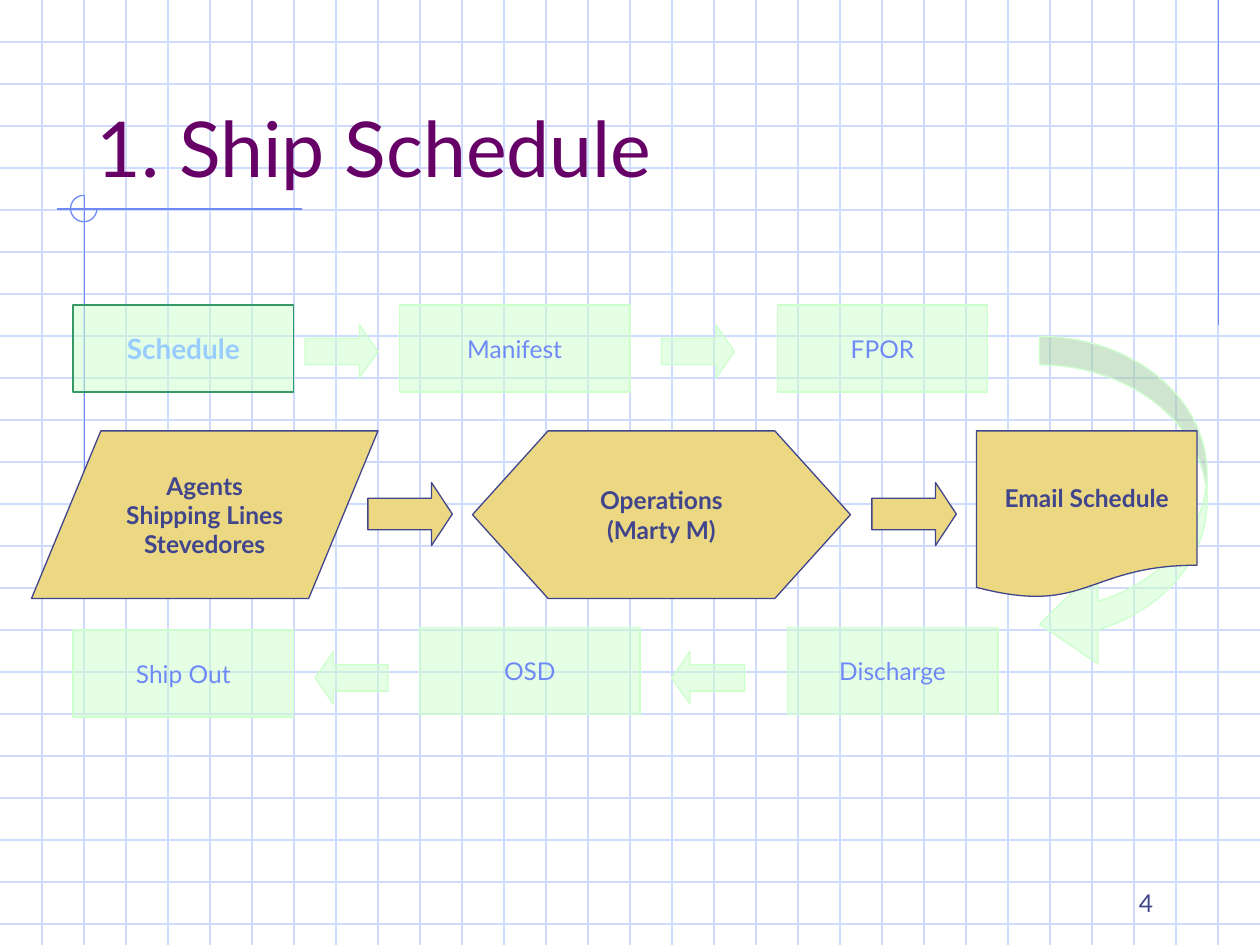
"""Build the ship schedule process slide."""
from dataclasses import dataclass

from lxml import etree
from pptx import Presentation
from pptx import util as u
from pptx.dml.color import RGBColor
from pptx.enum import shapes, text
from pptx.oxml.ns import qn

MS = shapes.MSO_SHAPE
ANCHOR = text.MSO_ANCHOR
ALIGN = text.PP_ALIGN


@dataclass(frozen=True)
class Theme:
    font: str = "Lato"
    grid: str = "CFDBFD"
    accent: str = "6F89F7"
    title: str = "660066"
    ink: str = "40458C"
    gold: str = "ECD882"
    mint: str = "CCFFCC"
    current_edge: str = "339966"
    current_text: str = "99CCFF"
    line_pt: float = 0.75
    title_pt: int = 44
    current_pt: int = 16
    body_pt: int = 14


T = Theme()


@dataclass(frozen=True)
class Style:
    fill: str
    edge: str
    ink: str
    size: int = T.body_pt
    bold: bool = False
    alpha: int = 100


FADED = Style(T.mint, T.mint, T.accent, alpha=50)
CURRENT = Style(T.mint, T.current_edge, T.current_text, T.current_pt, True, 50)
DETAIL = Style(T.gold, T.ink, T.ink, bold=True)


@dataclass(frozen=True)
class Node:
    kind: MS
    left: float
    top: float
    width: float
    height: float
    style: Style
    label: str = ""
    adj: tuple[float, ...] = ()
    wrap: bool = False


def step(left: float, top: float, width: float, label: str, style: Style = FADED) -> Node:
    return Node(MS.FLOWCHART_PROCESS, left, top, width, 0.69, style, label)


def faded_arrow(kind: MS, left: float, top: float) -> Node:
    return Node(kind, left, top, 0.58, 0.42, FADED, adj=(0.5, 0.35))


def detail_arrow(left: float) -> Node:
    return Node(MS.RIGHT_ARROW, left, 3.83, 0.67, 0.5, DETAIL, adj=(0.5, 0.33))


def detail(kind: MS, left: float, width: float, label: str, wrap: bool = False) -> Node:
    return Node(kind, left, 3.42, width, 1.33, DETAIL, label, wrap=wrap)


NODES = (
    step(0.58, 2.42, 1.75, "Schedule", CURRENT),
    step(3.17, 2.42, 1.83, "Manifest"),
    step(6.17, 2.42, 1.67, "FPOR"),
    step(6.25, 4.98, 1.67, "Discharge"),
    step(3.33, 4.98, 1.75, "OSD"),
    step(0.58, 5, 1.75, "Ship Out"),
    faded_arrow(MS.RIGHT_ARROW, 2.42, 2.58),
    faded_arrow(MS.RIGHT_ARROW, 5.25, 2.58),
    Node(MS.CURVED_LEFT_ARROW, 8.25, 2.67, 1.33, 2.67, FADED, adj=(0.17, 0.58, 0.35)),
    faded_arrow(MS.LEFT_ARROW, 5.33, 5.17),
    faded_arrow(MS.LEFT_ARROW, 2.5, 5.17),
    detail(MS.FLOWCHART_DATA, 0.25, 2.75, "Agents\nShipping Lines\nStevedores", True),
    detail(MS.FLOWCHART_DOCUMENT, 7.75, 1.75, "Email Schedule"),
    detail(MS.FLOWCHART_PREPARATION, 3.75, 3, "Operations\n(Marty M)"),
    detail_arrow(2.92),
    detail_arrow(6.92),
)


def box(left: float, top: float, width: float, height: float) -> list[u.Length]:
    return [u.Inches(v) for v in (left, top, width, height)]


def set_line(line, color: str) -> None:
    line.color.rgb = RGBColor.from_string(color)
    line.width = u.Pt(T.line_pt)


def add_line(s, x1: float, y1: float, x2: float, y2: float, color: str) -> None:
    c = s.shapes.add_connector(shapes.MSO_CONNECTOR.STRAIGHT, *box(x1, y1, x2, y2))
    set_line(c.line, color)
    etree.SubElement(c._element.spPr, qn("a:effectLst"))


def write(tf, label: str, size: int, color: str, align: ALIGN, anchor: ANCHOR,
          bold: bool = False, wrap: bool = True) -> None:
    tf.text = label
    tf.word_wrap = wrap
    tf.vertical_anchor = anchor
    for p in tf.paragraphs:
        p.alignment = align
        for r in p.runs:
            r.font.name = T.font
            r.font.size = u.Pt(size)
            r.font.bold = bold
            r.font.color.rgb = RGBColor.from_string(color)


def add_node(s, node: Node) -> None:
    sp = s.shapes.add_shape(node.kind, *box(node.left, node.top, node.width, node.height))
    sp.shadow.inherit = False
    for i, value in enumerate(node.adj):
        sp.adjustments[i] = value
    style = node.style
    sp.fill.solid()
    sp.fill.fore_color.rgb = RGBColor.from_string(style.fill)
    if style.alpha < 100:
        color = sp._element.spPr.find(qn("a:solidFill"))[0]
        etree.SubElement(color, qn("a:alpha"), val=str(style.alpha * 1000))
    set_line(sp.line, style.edge)
    if node.label:
        write(sp.text_frame, node.label, style.size, style.ink, ALIGN.CENTER,
              ANCHOR.MIDDLE, style.bold, node.wrap)


def add_background(s) -> None:
    for i in range(1, 23):
        add_line(s, 0, i / 3, 10, i / 3, T.grid)
    for i in range(1, 30):
        add_line(s, i / 3, 0, i / 3, 7.5, T.grid)
    add_line(s, 9.67, 0, 9.67, 2.58, T.accent)
    add_line(s, 2.4, 1.66, 0.45, 1.66, T.accent)
    add_line(s, 0.67, 1.55, 0.67, 4.09, T.accent)
    arc = s.shapes.add_shape(MS.ARC, *box(0.56, 1.55, 0.21, 0.21))
    arc.shadow.inherit = False
    arc.adjustments[0] = 0
    arc.adjustments[1] = 162
    arc.fill.background()
    set_line(arc.line, T.accent)


def main() -> None:
    prs = Presentation()
    prs.slide_width, prs.slide_height = u.Inches(10), u.Inches(7.5)
    s = prs.slides.add_slide(prs.slide_layouts[6])
    add_background(s)
    title = s.shapes.add_textbox(*box(0.67, 0.33, 8.5, 1.25))
    write(title.text_frame, "1. Ship Schedule", T.title_pt, T.title, ALIGN.LEFT, ANCHOR.BOTTOM)
    for node in NODES:
        add_node(s, node)
    number = s.shapes.add_textbox(*box(7.17, 6.83, 2.08, 0.5))
    write(number.text_frame, "4", T.body_pt, T.ink, ALIGN.RIGHT, ANCHOR.BOTTOM)
    prs.save("out.pptx")


if __name__ == "__main__":
    main()
